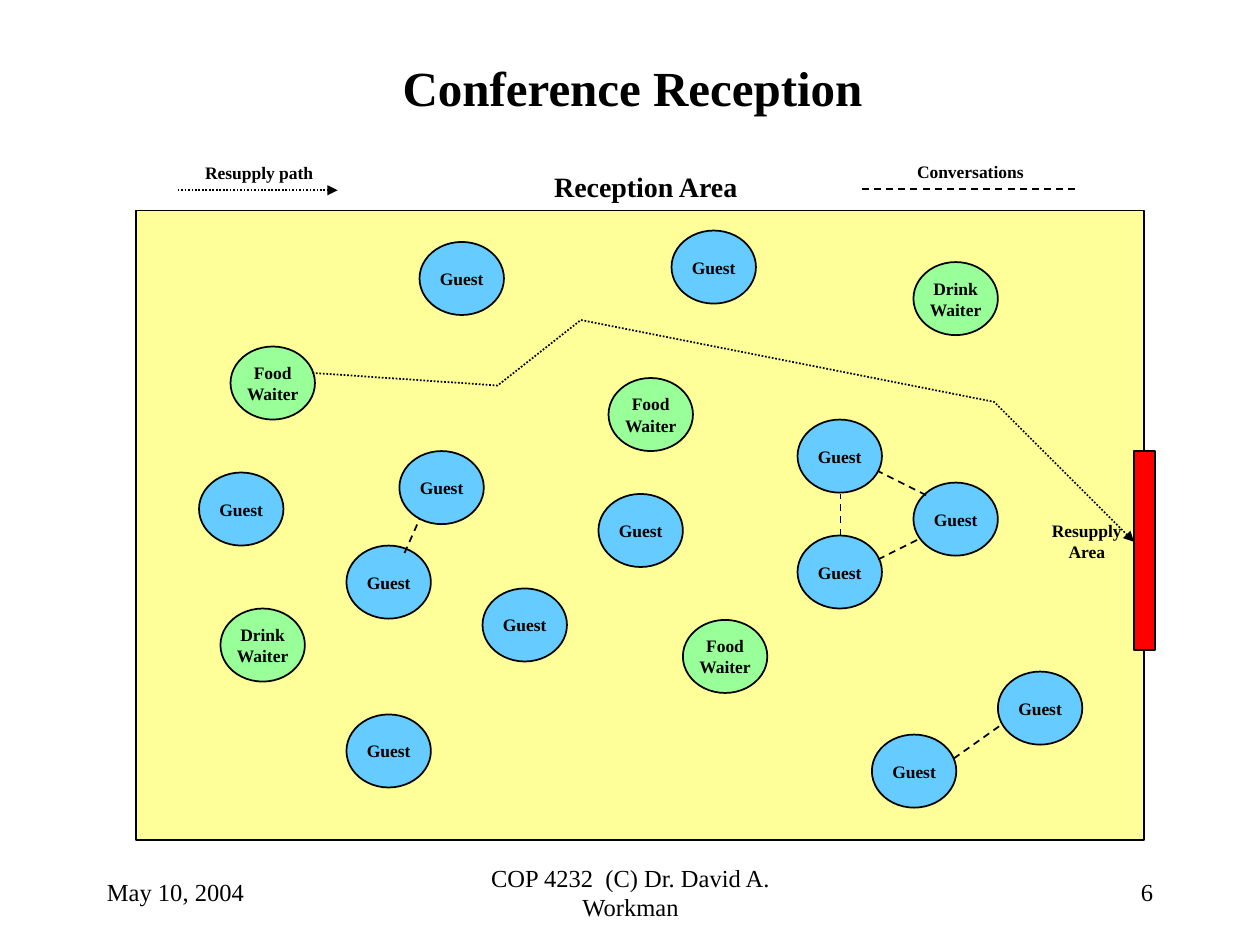
from lxml.etree import SubElement
from pptx import Presentation
from pptx.dml.color import RGBColor
from pptx.enum.dml import MSO_LINE as Dash
from pptx.enum.shapes import MSO_CONNECTOR as Connector, MSO_SHAPE as Preset
from pptx.enum.text import MSO_ANCHOR as Anchor, MSO_AUTO_SIZE as AutoSize, PP_ALIGN as Align
from pptx.oxml.ns import qn
from pptx.util import Inches, Pt


def paint(fill, color):
    fill.solid()
    fill.fore_color.rgb = RGBColor.from_string(color)


def write(shape, text, size, bold, align, frame_format):
    frame = shape.text_frame
    for name, value in frame_format.items():
        setattr(frame, name, value)
    frame.text = text
    font_format = {"name": "Times New Roman", "size": Pt(size), "bold": bold}
    for paragraph in frame.paragraphs:
        paragraph.alignment = align
        for name, value in font_format.items():
            setattr(paragraph.font, name, value)
        paint(paragraph.font.fill, "000000")


presentation = Presentation()
presentation.slide_width = Inches(10)
presentation.slide_height = Inches(7.5)
slide = presentation.slides.add_slide(presentation.slide_layouts[6])
shapes = slide.shapes

wrapped = {"word_wrap": True, "vertical_anchor": Anchor.MIDDLE}
centered = {"word_wrap": False, "vertical_anchor": Anchor.MIDDLE}
label = {"word_wrap": False, "auto_size": AutoSize.SHAPE_TO_FIT_TEXT}

guests = [
    (3.17, 3.58), (3.83, 4.67), (2.75, 5.67), (3.33, 1.92), (1.58, 3.75),
    (6.33, 4.25), (7.25, 3.83), (6.33, 3.33), (6.92, 5.83), (7.92, 5.33),
    (5.33, 1.83), (2.75, 4.33), (4.75, 3.92),
]
food_waiters = [(1.83, 2.75), (5.42, 4.92), (4.83, 3)]
drink_waiters = [(1.75, 4.83), (7.25, 2.08)]
groups = [
    ("Food\nWaiter", "99FF99", food_waiters),
    ("Drink\nWaiter", "99FF99", drink_waiters),
    ("Guest", "66CCFF", guests),
]

areas = [
    (Preset.RECTANGLE, (1.08, 1.67, 8, 5), "FFFF99", ""),
    (Preset.RECTANGLE, (9, 3.58, 0.17, 1.58), "FF0000", ""),
]
people = [
    (Preset.OVAL, (left, top, 0.67, 0.58), color, role)
    for role, color, places in groups
    for left, top in places
]
for preset, box, color, text in areas + people:
    shape = shapes.add_shape(preset, *map(Inches, box))
    shape.shadow.inherit = False
    paint(shape.fill, color)
    paint(shape.line.fill, "000000")
    shape.line.width = Pt(1)
    if text:
        write(shape, text, 10, True, Align.CENTER, centered)

texts = [
    ("Conference Reception", (0.77, 0.4, 8.5, 0.58), 28, True, Align.CENTER, wrapped),
    ("Reception Area", (4.3, 1.3, 1.67, 0.37), 16, True, Align.LEFT, label),
    ("Resupply\nArea", (8.25, 4.08, 0.75, 0.44), 10, True, Align.CENTER, label),
    ("Conversations", (7.18, 1.23, 1.1, 0.27), 10, True, Align.LEFT, label),
    ("Resupply path", (1.53, 1.24, 1.1, 0.27), 10, True, Align.LEFT, label),
    ("May 10, 2004", (0.75, 6.83, 2.08, 0.5), 14, False, Align.LEFT, wrapped),
    ("COP 4232  (C) Dr. David A. Workman", (3.42, 6.83, 3.17, 0.5), 14, False, Align.CENTER, wrapped),
    ("6", (7.17, 6.83, 2.08, 0.5), 14, False, Align.RIGHT, wrapped),
]
for text, box, size, bold, align, frame_format in texts:
    write(shapes.add_textbox(*map(Inches, box)), text, size, bold, align, frame_format)

conversations = [
    (7.57, 6.02, 7.95, 5.75), (6.97, 4.44, 7.31, 4.27), (6.67, 4.25, 6.67, 3.92),
    (7.35, 3.93, 6.97, 3.74), (6.84, 1.5, 8.54, 1.5), (3.21, 4.39, 3.33, 4.12),
]
legend_arrow = (1.41, 1.51, 2.68, 1.51)
strokes = []
for ends in conversations + [legend_arrow]:
    connector = shapes.add_connector(Connector.STRAIGHT, *map(Inches, ends))
    SubElement(connector.element.spPr, qn("a:effectLst"))
    strokes.append((connector, ends == legend_arrow))

route = [(2.48, 2.96), (3.95, 3.06), (4.61, 2.54), (7.89, 3.19), (9, 4.3)]
start, *turns = [(Inches(x), Inches(y)) for x, y in route]
builder = shapes.build_freeform(*start, scale=1.0)
builder.add_line_segments(turns, close=False)
resupply_path = builder.convert_to_shape()
resupply_path.shadow.inherit = False
resupply_path.fill.background()
strokes.append((resupply_path, True))

for stroke, is_resupply in strokes:
    paint(stroke.line.fill, "000000")
    stroke.line.width = Pt(1)
    stroke.line.dash_style = Dash.ROUND_DOT if is_resupply else Dash.DASH
    if is_resupply:
        SubElement(stroke.get_or_add_ln(), qn("a:tailEnd"), type="triangle")

presentation.save("out.pptx")
